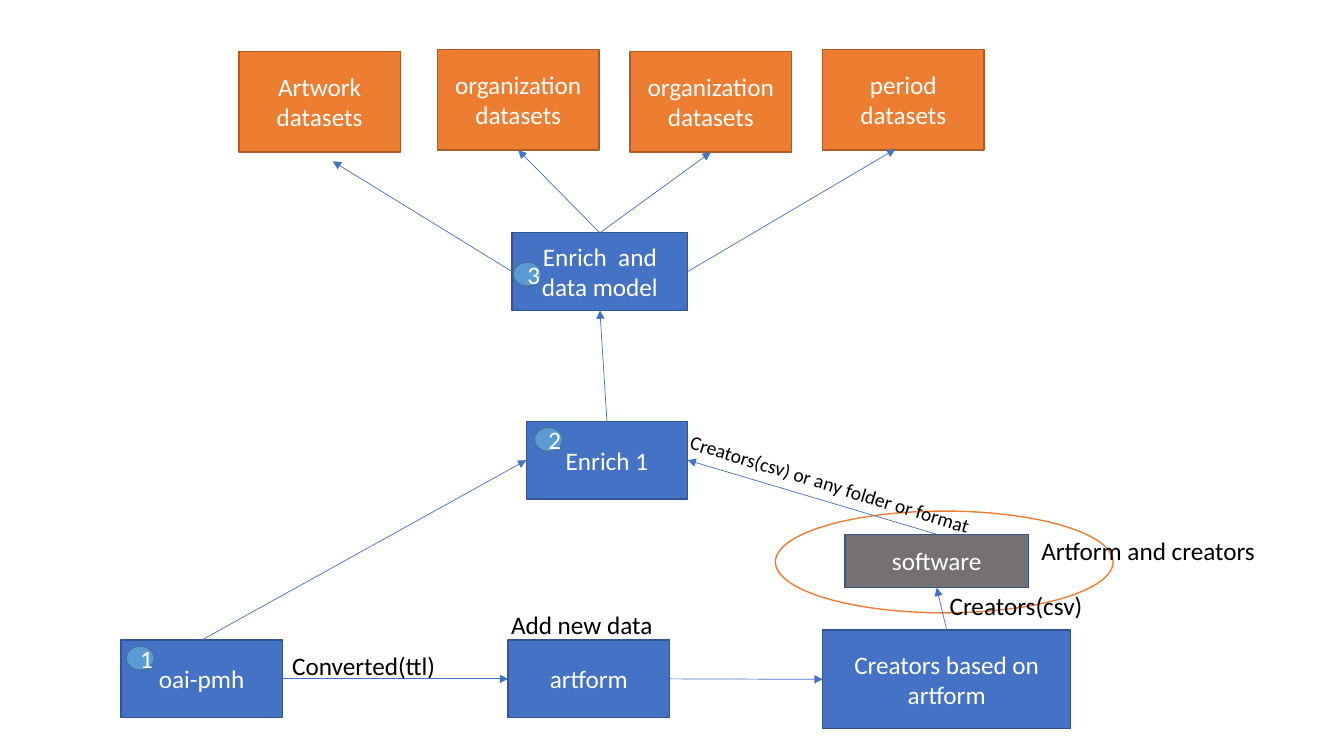
from lxml import etree
from pptx import Presentation
from pptx import util as u
from pptx.dml.color import RGBColor
from pptx.enum import shapes, text
from pptx.oxml import ns

BLUE = RGBColor(0x44, 0x72, 0xC4)
NAVY = RGBColor(0x32, 0x54, 0x91)
ORANGE = RGBColor(0xED, 0x7D, 0x31)
RUST = RGBColor(0xAF, 0x5C, 0x24)
GRAY = RGBColor(0x76, 0x71, 0x71)
SKY = RGBColor(0x5B, 0x9B, 0xD5)
STEEL = RGBColor(0x43, 0x73, 0x9E)
WHITE = RGBColor(0xFF, 0xFF, 0xFF)
BLACK = RGBColor(0, 0, 0)
TOP, LEFT, BOTTOM, RIGHT = range(4)  # connection sites of a rectangle
RECT, OVAL = shapes.MSO_SHAPE.RECTANGLE, shapes.MSO_SHAPE.OVAL

prs = Presentation()
prs.slide_width, prs.slide_height = u.Inches(13.33), u.Inches(7.5)
s = prs.slides.add_slide(prs.slide_layouts[6])


def write(sp, words, color, align, size=18):
    """Put one formatted line of text into a shape."""
    p = sp.text_frame.paragraphs[0]
    p.alignment = align
    r = p.add_run()
    r.text = words
    for name, value in {"name": "Calibri", "size": u.Pt(size)}.items():
        setattr(r.font, name, value)
    r.font.color.rgb = color


def add_node(kind, at, fill, line, words=""):
    """Draw a flat shape with centred white text; no fill when fill is None."""
    sp = s.shapes.add_shape(kind, *map(u.Inches, at))
    sp.shadow.inherit = False
    if fill is None:
        sp.fill.background()
    else:
        sp.fill.solid()
        sp.fill.fore_color.rgb = fill
    sp.line.color.rgb = line
    sp.line.width = u.Pt(1)
    if words:
        sp.text_frame.vertical_anchor = text.MSO_ANCHOR.MIDDLE
        write(sp, words, WHITE, text.PP_ALIGN.CENTER)
    return sp


# Process steps and output datasets
boxes = {}
for key, at, fill, line, words in [
    ("oai", (1.2, 6.35, 1.6, 0.77), BLUE, NAVY, "oai-pmh"),
    ("artform", (5.04, 6.35, 1.6, 0.77), BLUE, NAVY, "artform"),
    ("creators", (8.16, 6.25, 2.46, 0.98), BLUE, NAVY, "Creators based on artform"),
    ("software", (8.38, 5.3, 1.82, 0.53), GRAY, NAVY, "software"),
    ("enrich", (5.22, 4.18, 1.6, 0.77), BLUE, NAVY, "Enrich 1"),
    ("model", (5.08, 2.31, 1.74, 0.77), BLUE, NAVY, "Enrich  and data model"),
    ("artwork", (2.37, 0.51, 1.6, 1), ORANGE, RUST, "Artwork datasets"),
    ("org 1", (4.34, 0.49, 1.6, 1), ORANGE, RUST, "organization datasets"),
    ("org 2", (6.25, 0.51, 1.6, 1), ORANGE, RUST, "organization datasets"),
    ("period", (8.16, 0.49, 1.6, 1), ORANGE, RUST, "period datasets"),
]:
    boxes[key] = add_node(RECT, at, fill, line, words)
add_node(OVAL, (7.69, 5.07, 3.35, 1.01), None, ORANGE)

# Arrows: each end is glued to a box side, or left at a free point
for start, side, end, target in [
    ("oai", RIGHT, "artform", LEFT),
    ("artform", RIGHT, "creators", LEFT),
    ("creators", TOP, "software", BOTTOM),
    ("software", TOP, "enrich", RIGHT),
    ("oai", TOP, "enrich", LEFT),
    ("enrich", TOP, "model", BOTTOM),
    ("model", LEFT, None, (3.3, 1.6)),
    ("model", TOP, "org 1", BOTTOM),
    ("model", TOP, "org 2", BOTTOM),
    ("model", RIGHT, None, (8.88, 1.48)),
]:
    free = (0, 0) if end else target
    c = s.shapes.add_connector(shapes.MSO_CONNECTOR.STRAIGHT, 0, 0, *map(u.Inches, free))
    c.begin_connect(boxes[start], side)
    if end:
        c.end_connect(boxes[end], target)
    c.line.color.rgb = BLUE
    c.line.width = u.Pt(0.5)
    etree.SubElement(c.line._get_or_add_ln(), ns.qn("a:tailEnd"), type="triangle")
    etree.SubElement(c._element.spPr, ns.qn("a:effectLst"))

# Labels
for at, words, size, turn, wrap in [
    ((4.97, 6, 1.62, 0.4), "Add new data", 18, 0, False),
    ((2.8, 6.4, 2.56, 0.4), "Converted(ttl)", 18, 0, True),
    ((9.32, 5.81, 1.58, 0.4), "Creators(csv)", 18, 0, True),
    ((6.69, 4.66, 3.25, 0.34), "Creators(csv) or any folder or format", 14, 17, True),
    ((10.23, 5.26, 2.35, 0.4), "Artform and creators", 18, 0, False),
]:
    tb = s.shapes.add_textbox(*map(u.Inches, at))
    tb.rotation = turn
    tf = tb.text_frame
    tf.word_wrap = wrap
    tf.auto_size = text.MSO_AUTO_SIZE.SHAPE_TO_FIT_TEXT
    write(tb, words, BLACK, text.PP_ALIGN.LEFT, size)

# Step numbers
for number, (x, y) in enumerate([(1.25, 6.41), (5.3, 4.24), (5.09, 2.6)], 1):
    add_node(OVAL, (x, y, 0.28, 0.24), SKY, STEEL, str(number))

prs.save("out.pptx")
